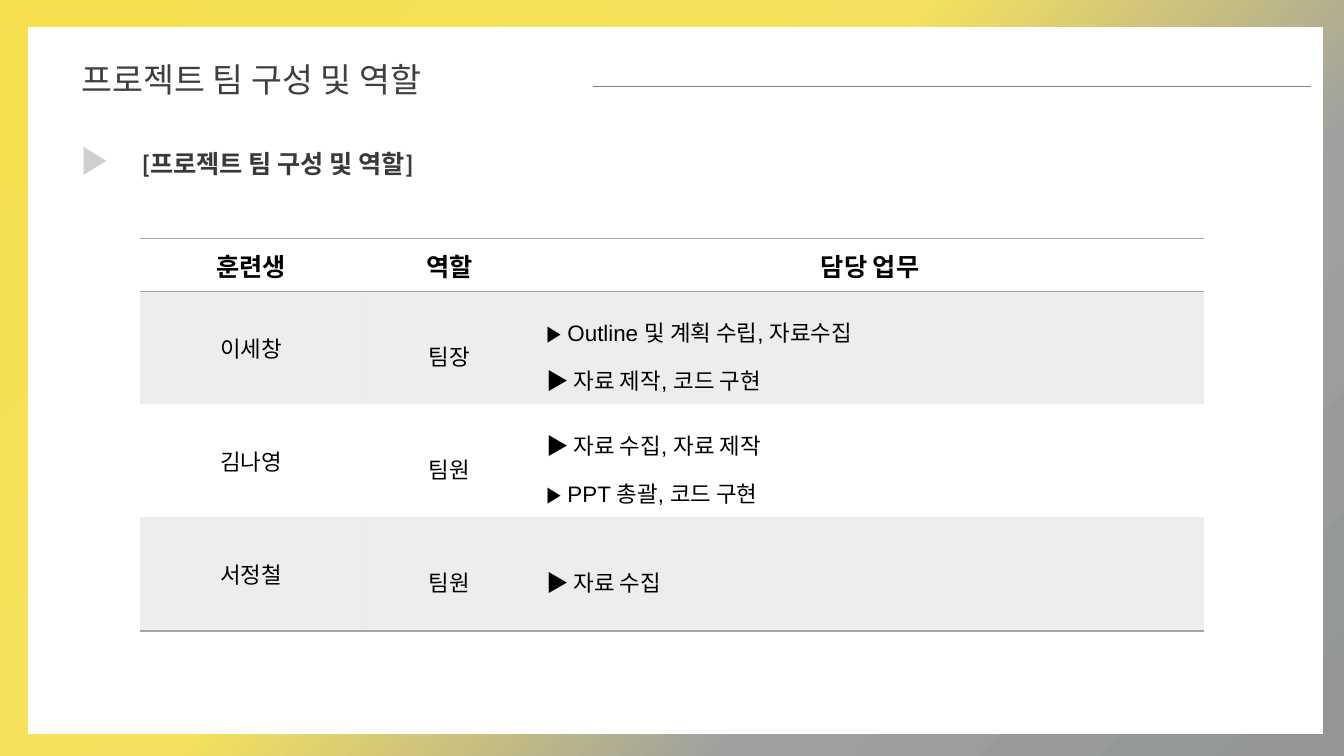
from lxml.etree import SubElement
from pptx import Presentation
from pptx.dml.color import RGBColor
from pptx.enum.shapes import MSO_CONNECTOR, MSO_SHAPE
from pptx.enum.text import MSO_ANCHOR as Anchor, PP_ALIGN as Align
from pptx.oxml.ns import qn
from pptx.util import Inches, Pt

TITLE = "프로젝트 팀 구성 및 역할"
HEADERS = ["훈련생", "역할", "담당 업무"]
MEMBERS = [
    ("이세창", "팀장", ["Outline 및 계획 수립, 자료수집", "자료 제작, 코드 구현"]),
    ("김나영", "팀원", ["자료 수집, 자료 제작", "PPT 총괄, 코드 구현"]),
    ("서정철", "팀원", ["자료 수집"]),
]
COLUMN_WIDTHS = [2.2, 1.73, 6.62]
ROW_HEIGHTS = [0.52, 1.12, 1.12, 1.13]
BACKGROUND_STOPS = [(0, "F5DF4D", 100), (44, "F5E15E", 69), (71, "9D9FA0", 69), (100, "939597", 100)]

WHITE = RGBColor(0xFF, 0xFF, 0xFF)
BLACK = RGBColor(0, 0, 0)
TITLE_GRAY = RGBColor(0x3F, 0x3F, 0x3F)
SUBTITLE_GRAY = RGBColor(0x3A, 0x38, 0x38)
MARKER_GRAY = RGBColor(0xD0, 0xCE, 0xCE)
LINE_GRAY = RGBColor(0x7F, 0x7F, 0x7F)
TABLE_GRAY = RGBColor(0xA5, 0xA5, 0xA5)
PLAIN_TABLE_STYLE = "{2D5ABB26-0587-4C30-8999-92F81FD0307C}"


def set_alpha(color_element, percent):
    SubElement(color_element, qn("a:alpha"), val=str(percent * 1000))


def paint_background(slide):
    fill = slide.background.fill
    fill.gradient()
    fill.gradient_angle = 315
    stop_list = slide.element.find(".//" + qn("a:gsLst"))
    for stop in list(stop_list):
        stop_list.remove(stop)
    for position, color, alpha in BACKGROUND_STOPS:
        stop = SubElement(stop_list, qn("a:gs"), pos=str(position * 1000))
        color_element = SubElement(stop, qn("a:srgbClr"), val=color)
        if alpha < 100:
            set_alpha(color_element, alpha)


def write(text_frame, text, size, color, bold=False, font="Arial", align=Align.LEFT, spacing=None):
    text_frame.text = text
    text_frame.word_wrap = True
    for paragraph in text_frame.paragraphs:
        paragraph.alignment = align
        if spacing:
            paragraph.line_spacing = spacing
        for run in paragraph.runs:
            run.font.name = font
            run.font.size = Pt(size)
            run.font.bold = bold
            run.font.color.rgb = color


def add_text(slide, box, *args, **options):
    text_frame = slide.shapes.add_textbox(*map(Inches, box)).text_frame
    write(text_frame, *args, **options)
    return text_frame


def add_borders(cell, tags):
    properties = cell._tc.get_or_add_tcPr()
    for index, tag in enumerate(tags):
        border = properties.makeelement(qn(tag), w=str(Pt(1)))
        fill = SubElement(border, qn("a:solidFill"))
        SubElement(fill, qn("a:srgbClr"), val=str(TABLE_GRAY))
        properties.insert(index, border)


def add_team_table(slide):
    frame = slide.shapes.add_table(
        len(ROW_HEIGHTS), len(COLUMN_WIDTHS), Inches(1.39), Inches(2.37),
        Inches(sum(COLUMN_WIDTHS)), Inches(sum(ROW_HEIGHTS)))
    table = frame.table
    table.first_row = table.horz_banding = False
    frame.element.find(".//" + qn("a:tableStyleId")).text = PLAIN_TABLE_STYLE
    for column, width in zip(table.columns, COLUMN_WIDTHS):
        column.width = Inches(width)
    for row, height in zip(table.rows, ROW_HEIGHTS):
        row.height = Inches(height)

    rows = [HEADERS] + [
        (name, role, "\n".join(f"▶ {task}" for task in tasks)) for name, role, tasks in MEMBERS]
    for row_index, texts in enumerate(rows):
        header = row_index == 0
        for column_index, text in enumerate(texts):
            cell = table.cell(row_index, column_index)
            cell.vertical_anchor = Anchor.MIDDLE
            tasks = column_index == 2 and not header
            write(cell.text_frame, text, 18 if header else 16, BLACK, bold=header,
                  align=Align.LEFT if tasks else Align.CENTER,
                  spacing=1.5 if column_index and not header else None)
            if row_index % 2:
                cell.fill.solid()
                cell.fill.fore_color.rgb = TABLE_GRAY
                set_alpha(cell._tc.find(".//" + qn("a:tcPr") + "/" + qn("a:solidFill"))[0], 20)
            else:
                cell.fill.background()
            if header:
                add_borders(cell, ["a:lnT", "a:lnB"])
            elif row_index == len(rows) - 1:
                add_borders(cell, ["a:lnB"])


def main():
    """Build the team roles slide."""
    presentation = Presentation()
    presentation.slide_width, presentation.slide_height = Inches(13.33), Inches(7.5)
    slide = presentation.slides.add_slide(presentation.slide_layouts[5])
    paint_background(slide)

    panel = slide.shapes.add_shape(
        MSO_SHAPE.RECTANGLE, Inches(0.28), Inches(0.27), Inches(12.84), Inches(7.01))
    panel.shadow.inherit = False
    panel.fill.solid()
    panel.fill.fore_color.rgb = WHITE
    panel.line.fill.background()

    title = slide.shapes.title
    title.element.addprevious(panel.element)
    title.left, title.top, title.width, title.height = map(Inches, (0.71, 0.53, 4.24, 0.5))
    title.text_frame.vertical_anchor = Anchor.TOP
    write(title.text_frame, TITLE, 24, TITLE_GRAY)

    rule = slide.shapes.add_connector(
        MSO_CONNECTOR.STRAIGHT, Inches(5.88), Inches(0.86), Inches(13), Inches(0.86))
    rule.line.color.rgb = LINE_GRAY
    rule.line.width = Pt(1)
    SubElement(rule.element.spPr, qn("a:effectLst"))

    add_text(slide, (0.71, 1.27, 0.55, 0.57), "▶", 28, MARKER_GRAY, bold=True)
    subtitle = add_text(slide, (1.26, 1.27, 11.16, 0.56), f"[{TITLE}]", 18, SUBTITLE_GRAY,
                        bold=True, font="Calibri", spacing=1.5)
    subtitle.margin_left = Inches(0.15)
    add_team_table(slide)
    presentation.save("out.pptx")


if __name__ == "__main__":
    main()
